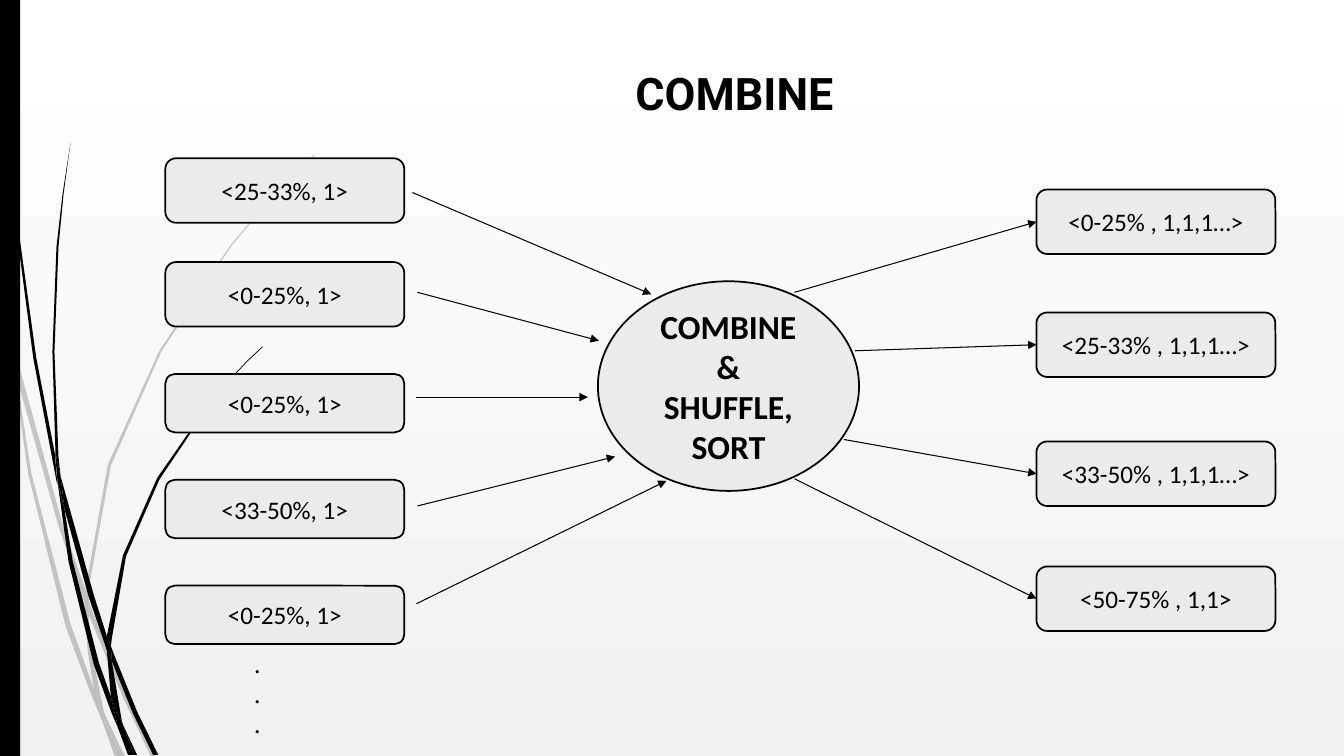
from lxml.etree import SubElement
from pptx import Presentation
from pptx.dml.color import RGBColor
from pptx.enum.shapes import MSO_CONNECTOR, MSO_SHAPE
from pptx.enum.text import MSO_ANCHOR, PP_ALIGN
from pptx.oxml.ns import qn
from pptx.util import Pt

EMU_PER_PX = 9144
BLACK, PANEL = "000000", "EBEBEB"

PALE_WISPS = [
    [(11, 350), (9, 322), (0, 282), (0, 299), (10, 344)],
    [(58, 522), (84, 599), (85, 586), (62, 520), (14, 345), (17, 376)],
    [(92, 607), (88, 596), (88, 610), (123, 694), (150, 751), (155, 751), (127, 692)],
    [(119, 751), (124, 751), (105, 711)],
    [(93, 683), (70, 619), (31, 469), (17, 376), (11, 350), (28, 470), (65, 621),
     (92, 693), (101, 714), (99, 707)],
    [(84, 599), (87, 646), (93, 683), (96, 692), (105, 711), (103, 706), (91, 646),
     (88, 610), (88, 608)],
    [(88, 584), (110, 462), (160, 349), (229, 245), (268, 198), (290, 175), (312, 154),
     (312, 153), (289, 175), (268, 197), (228, 244), (158, 348), (107, 461), (85, 584),
     (85, 586), (88, 596)],
    [(101, 714), (114, 751), (119, 751)],
    [(88, 608), (88, 610), (88, 596), (85, 586), (84, 599)],
    [(96, 692), (93, 683), (99, 707), (101, 714), (119, 751), (105, 711)],
]
DARK_WISPS = [
    [(7, 110), (17, 233), (33, 355), (56, 477), (57, 481), (55, 457), (55, 453),
     (36, 355), (19, 232), (8, 109), (5, 48), (4, 0), (3, 0), (4, 48)],
    [(88, 592), (106, 645), (106, 633), (106, 631), (93, 590), (60, 472), (64, 505)],
    [(113, 649), (110, 641), (111, 656), (132, 708), (152, 749), (157, 749), (136, 706)],
    [(110, 691), (98, 657), (72, 556), (64, 505), (57, 477), (68, 557), (93, 659),
     (111, 708), (117, 722), (116, 717)],
    [(60, 472), (58, 453), (54, 349), (58, 245), (63, 193), (70, 141), (62, 193),
     (56, 245), (52, 349), (55, 449)],
    [(133, 749), (136, 749), (122, 719)],
    [(57, 477), (64, 505), (60, 472), (55, 449), (55, 453)],
    [(111, 633), (125, 552), (158, 476), (205, 406), (231, 374), (245, 359), (261, 344),
     (260, 344), (245, 358), (231, 373), (204, 405), (156, 474), (122, 551), (106, 631),
     (110, 641)],
    [(117, 722), (127, 749), (131, 749)],
    [(106, 645), (110, 691), (116, 706), (122, 719), (121, 716), (111, 656), (109, 651)],
    [(106, 645), (109, 651), (111, 656), (110, 641), (106, 631), (106, 633)],
    [(116, 706), (110, 691), (116, 717), (117, 722), (130, 749), (133, 749), (122, 719)],
]
INPUT_PAIRS = [
    (157, 64, "<25-33%, 1>"),
    (260, 64, "<0-25%, 1>"),
    (371, 58, "<0-25%, 1>"),
    (476, 58, "<33-50%, 1>"),
    (581, 58, "<0-25%, 1>"),
]
OUTPUT_GROUPS = [
    (188, 64, "<0-25% , 1,1,1…>"),
    (310, 64, "<25-33% , 1,1,1…>"),
    (438, 64, "<33-50% , 1,1,1…>"),
    (562, 64, "<50-75% , 1,1>"),
]
ARROWS = [
    (409, 191, 646, 292), (414, 290, 594, 338), (413, 394, 583, 394),
    (414, 502, 610, 453), (413, 599, 661, 477),
    (788, 290, 1028, 220), (848, 348, 1028, 342),
    (837, 436, 1028, 470), (788, 475, 1028, 594),
]


def px(length):
    return length * EMU_PER_PX


def color(hex_code):
    return RGBColor.from_string(hex_code)


def write_lines(frame, lines, size, font="Calibri", bold=False, anchor=MSO_ANCHOR.MIDDLE):
    frame.word_wrap = True
    frame.vertical_anchor = anchor
    for index, line in enumerate(lines):
        paragraph = frame.add_paragraph() if index else frame.paragraphs[0]
        paragraph.alignment = PP_ALIGN.CENTER
        run = paragraph.add_run()
        run.text = line
        run.font.name = font
        run.font.size = Pt(size)
        run.font.bold = bold
        run.font.color.rgb = color(BLACK)


def add_panel(slide, preset, box, lines, size, bold=False):
    panel = slide.shapes.add_shape(preset, *map(px, box))
    panel.shadow.inherit = False
    panel.fill.solid()
    panel.fill.fore_color.rgb = color(PANEL)
    panel.line.color.rgb = color(BLACK)
    panel.line.width = Pt(1.25)
    write_lines(panel.text_frame, lines, size, bold=bold)


def fill_plain(decoration, opacity=100):
    decoration.shadow.inherit = False
    decoration.fill.solid()
    decoration.fill.fore_color.rgb = color(BLACK)
    decoration.line.fill.background()
    if opacity < 100:
        tint = decoration.fill._xPr.find(".//" + qn("a:srgbClr"))
        SubElement(tint, qn("a:alpha"), val=str(opacity * 1000))


def add_wisps(slide, outlines, opacity):
    spray = slide.shapes.add_group_shape()
    for start, *others in outlines:
        builder = spray.shapes.build_freeform(*start, scale=EMU_PER_PX)
        builder.add_line_segments(others, close=True)
        fill_plain(builder.convert_to_shape(), opacity)


def add_arrow(slide, ends):
    arrow = slide.shapes.add_connector(MSO_CONNECTOR.STRAIGHT, *map(px, ends))
    arrow.line.color.rgb = color(BLACK)
    arrow.line.width = Pt(0.75)
    SubElement(arrow.line._get_or_add_ln(), qn("a:tailEnd"), type="triangle")
    SubElement(arrow._element.spPr, qn("a:effectLst"))


def paint_background(slide):
    backdrop = slide.background.fill
    backdrop.gradient()
    backdrop.gradient_angle = 270
    for stop, shade in zip(backdrop.gradient_stops, ("FFFFFF", "F1F1F1")):
        stop.color.rgb = color(shade)


def place_title(slide, text):
    title = slide.shapes.title
    title.left, title.top, title.width, title.height = map(px, (539, 60, 379, 64))
    write_lines(title.text_frame, [text], 32, "Roboto", True, MSO_ANCHOR.TOP)


def main():
    deck = Presentation()
    deck.slide_width, deck.slide_height = px(1333), px(750)
    slide = deck.slides.add_slide(deck.slide_layouts[5])
    paint_background(slide)

    add_wisps(slide, PALE_WISPS, 20)
    add_wisps(slide, DARK_WISPS, 100)
    edge_bar = slide.shapes.add_shape(MSO_SHAPE.RECTANGLE, 0, 0, px(20), px(750))
    fill_plain(edge_bar)

    place_title(slide, "COMBINE")
    for left, pairs in ((164, INPUT_PAIRS), (1028, OUTPUT_GROUPS)):
        for top, height, pair in pairs:
            add_panel(slide, MSO_SHAPE.ROUNDED_RECTANGLE, (left, top, 237, height), [pair], 18)
    add_panel(slide, MSO_SHAPE.OVAL, (593, 279, 259, 208),
              ["COMBINE", "&", "SHUFFLE,", "SORT"], 24, bold=True)
    for ends in ARROWS:
        add_arrow(slide, ends)

    more_pairs = slide.shapes.add_textbox(*map(px, (225, 638, 61, 101)))
    write_lines(more_pairs.text_frame, ["."] * 3, 18, "League Spartan", anchor=MSO_ANCHOR.TOP)
    deck.save("out.pptx")


if __name__ == "__main__":
    main()
